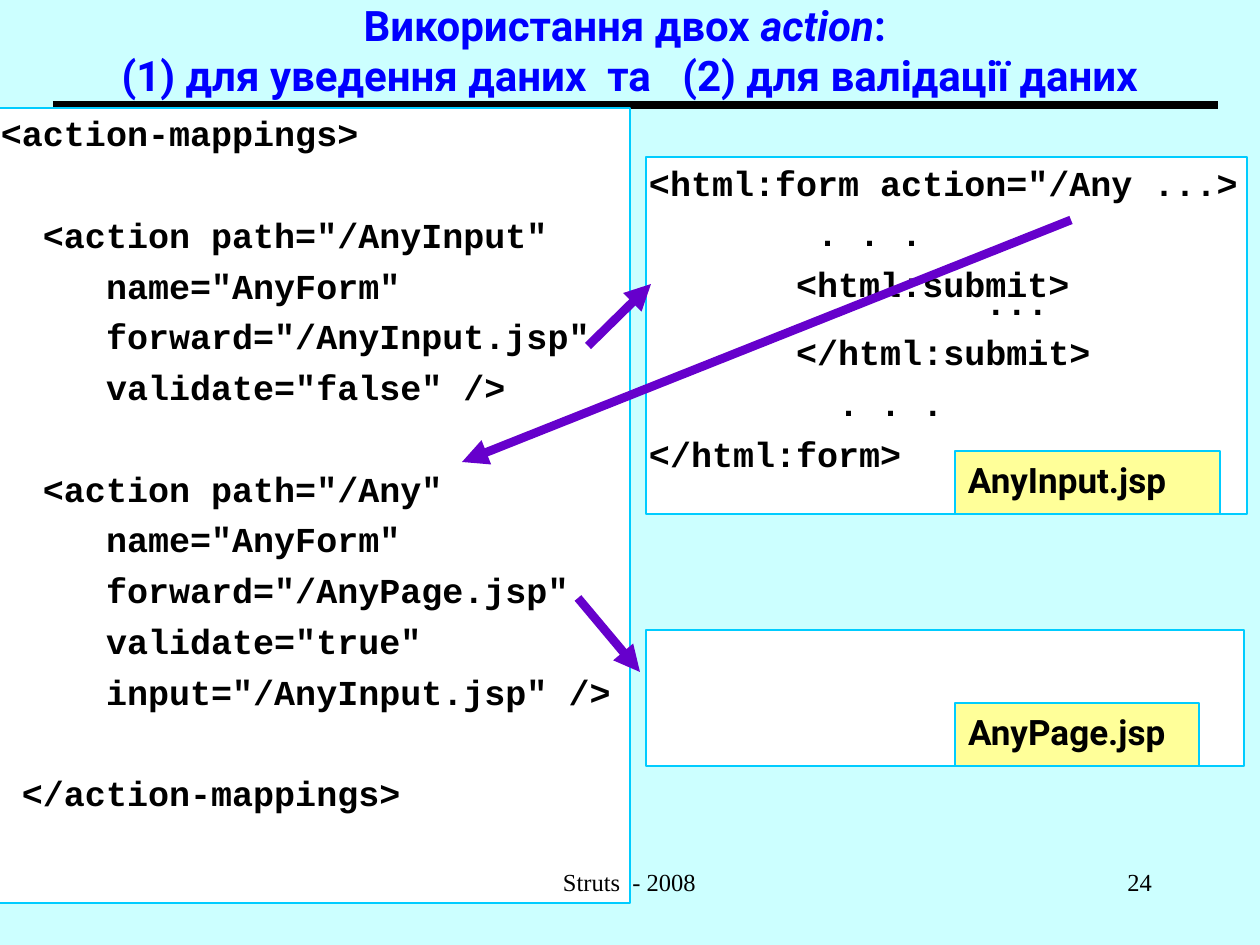
"""Build the slide about using two actions for entering and validating data."""
import pptx
import pptx.util
import pptx.oxml.ns
import lxml.etree
from pptx.dml.color import RGBColor
from pptx.enum.shapes import MSO_CONNECTOR, MSO_SHAPE
from pptx.enum.text import MSO_ANCHOR, PP_ALIGN

EMU_PER_PIXEL = 914400 / 126
BACKGROUND = RGBColor(0xCC, 0xFF, 0xFF)
BLACK = RGBColor(0, 0, 0)
WHITE = RGBColor(0xFF, 0xFF, 0xFF)
BLUE = RGBColor(0, 0, 0xFF)
CYAN = RGBColor(0, 0xCC, 0xFF)
YELLOW = RGBColor(0xFF, 0xFF, 0x99)
PURPLE = RGBColor(0x66, 0, 0xCC)

LINE_HEIGHT = 24
PARAGRAPH_GAP = 5
LABEL_LEFT = 955

MAPPINGS = """<action-mappings>

  <action path="/AnyInput"
     name="AnyForm"
     forward="/AnyInput.jsp"
     validate="false" />

  <action path="/Any"
     name="AnyForm"
     forward="/AnyPage.jsp"
     validate="true"
     input="/AnyInput.jsp" />

 </action-mappings>"""

FORM = """<html:form action="/Any ...>
        . . .
       <html:submit>
                ...
       </html:submit>
         . . .
</html:form>"""


def px(length):
    return pptx.util.Emu(round(length * EMU_PER_PIXEL))


def add_text(paragraph, text, font="Roboto", size=20, color=BLACK, bold=False, italic=False):
    run = paragraph.add_run()
    run.text = text
    run.font.name = font
    run.font.size = pptx.util.Pt(size)
    run.font.color.rgb = color
    run.font.bold = bold
    run.font.italic = italic


class SlideBuilder:
    """Hold the style and the current slide."""

    def __init__(self, presentation):
        self.slide = presentation.slides.add_slide(presentation.slide_layouts[6])
        self.slide.background.fill.solid()
        self.slide.background.fill.fore_color.rgb = BACKGROUND

    def set_frame(self, shape, margins=(13, 6, 13, 6), anchor=MSO_ANCHOR.TOP):
        frame = shape.text_frame
        frame.word_wrap = True
        frame.vertical_anchor = anchor
        frame.margin_left, frame.margin_top, frame.margin_right, frame.margin_bottom = map(px, margins)
        return frame

    def text_box(self, left, top, width, height, align, anchor=MSO_ANCHOR.TOP):
        shape = self.slide.shapes.add_textbox(px(left), px(top), px(width), px(height))
        paragraph = self.set_frame(shape, anchor=anchor).paragraphs[0]
        paragraph.alignment = align
        return paragraph

    def panel(self, left, top, width, height, fill=WHITE):
        shape = self.slide.shapes.add_shape(
            MSO_SHAPE.RECTANGLE, px(left), px(top), px(width), px(height))
        shape.shadow.inherit = False
        shape.fill.solid()
        shape.fill.fore_color.rgb = fill
        shape.line.color.rgb = CYAN
        shape.line.width = pptx.util.Pt(1)
        return shape

    def code(self, source, left, top, width, height, tight_line=None):
        frame = self.set_frame(self.panel(left, top, width, height), margins=(3, 4, 0, 1))
        gap = 0
        paragraph = frame.paragraphs[0]
        for index, line in enumerate(source.splitlines()):
            if not line:
                gap += LINE_HEIGHT + PARAGRAPH_GAP
                continue
            if index:
                paragraph = frame.add_paragraph()
            paragraph.alignment = PP_ALIGN.LEFT
            paragraph.space_before = pptx.util.Pt(gap)
            paragraph.line_spacing = pptx.util.Pt(5 if index == tight_line else LINE_HEIGHT)
            add_text(paragraph, line, font="Courier New", bold=True)
            gap = PARAGRAPH_GAP

    def label(self, text, top, width):
        shape = self.panel(LABEL_LEFT, top, width, 63, fill=YELLOW)
        paragraph = self.set_frame(shape, margins=(13, 8, 13, 6)).paragraphs[0]
        paragraph.alignment = PP_ALIGN.LEFT
        add_text(paragraph, text, bold=True)

    def line(self, start, end, color, width, arrow=False):
        connector = self.slide.shapes.add_connector(
            MSO_CONNECTOR.STRAIGHT, *map(px, start + end))
        connector.line.color.rgb = color
        connector.line.width = pptx.util.Pt(width)
        if arrow:
            lxml.etree.SubElement(
                connector.line._get_or_add_ln(), pptx.oxml.ns.qn("a:tailEnd"), type="triangle")
        lxml.etree.SubElement(connector._element.spPr, pptx.oxml.ns.qn("a:effectLst"))


def main():
    presentation = pptx.Presentation()
    presentation.slide_width = px(1260)
    presentation.slide_height = px(945)
    builder = SlideBuilder(presentation)

    title = builder.text_box(0, 2, 1260, 95, PP_ALIGN.CENTER, MSO_ANCHOR.MIDDLE)
    title_format = {"size": 24, "color": BLUE, "bold": True}
    add_text(title, "Використання двох ", **title_format)
    add_text(title, "action", italic=True, **title_format)
    add_text(title, ": ", **title_format)
    title.add_line_break()
    add_text(title, "(1) для уведення даних  та   (2) для валідації даних", **title_format)
    builder.line((53, 105), (1218, 105), BLACK, 4.5)

    builder.code(MAPPINGS, -2, 108, 632, 795)
    builder.code(FORM, 646, 157, 601, 357, tight_line=3)
    builder.label("AnyInput.jsp", 451, 265)
    builder.panel(646, 630, 598, 136)
    builder.label("AnyPage.jsp", 703, 244)

    for start, end in (((588, 346), (651, 284)),
                       ((578, 598), (640, 672)),
                       ((1071, 220), (462, 462))):
        builder.line(start, end, PURPLE, 5, arrow=True)

    for text, left, width, align in (("Struts  - 2008", 430, 399, PP_ALIGN.CENTER),
                                     ("24", 903, 262, PP_ALIGN.RIGHT)):
        add_text(builder.text_box(left, 861, width, 63, align), text,
                 font="Times New Roman", size=14)

    presentation.save("out.pptx")


if __name__ == "__main__":
    main()
